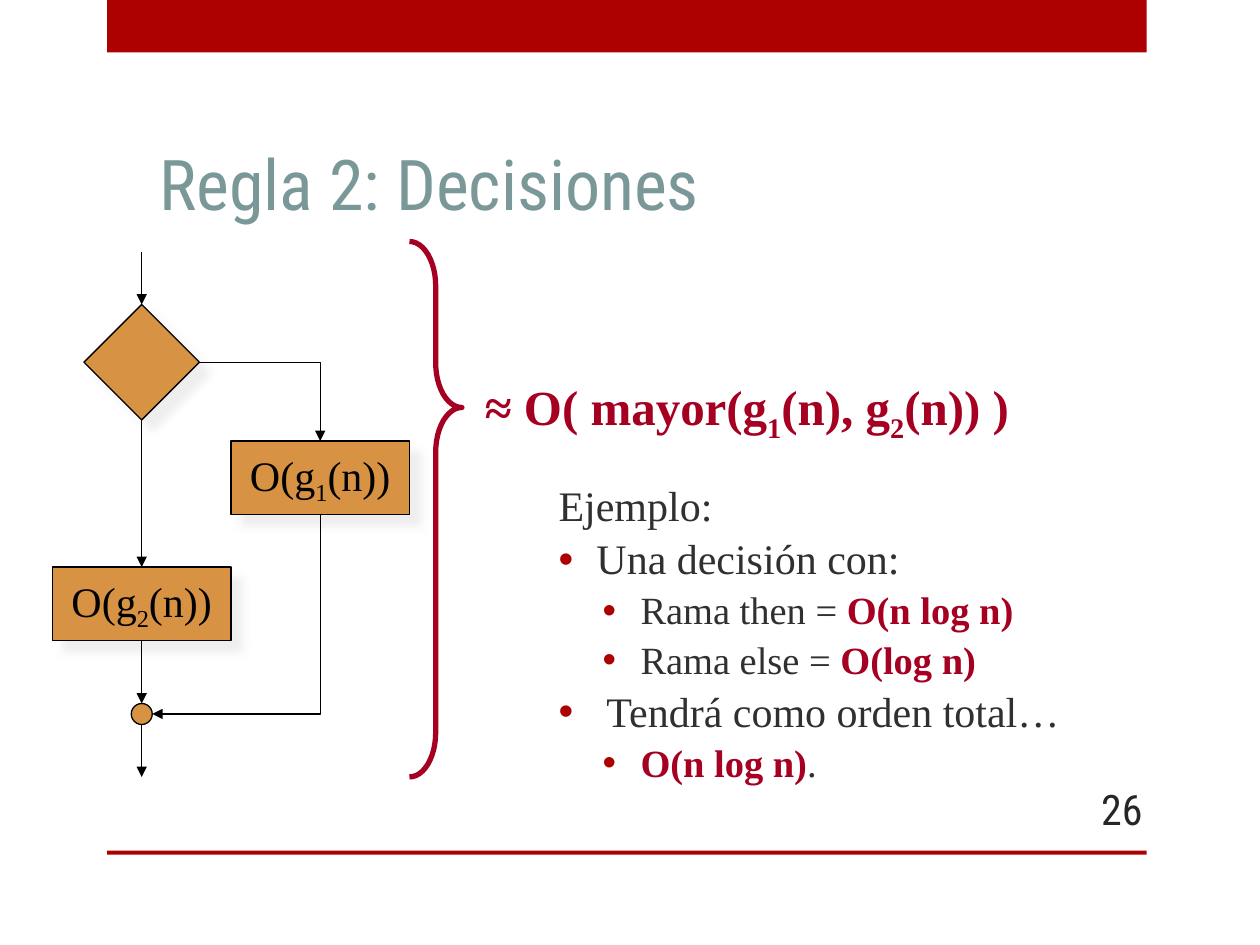
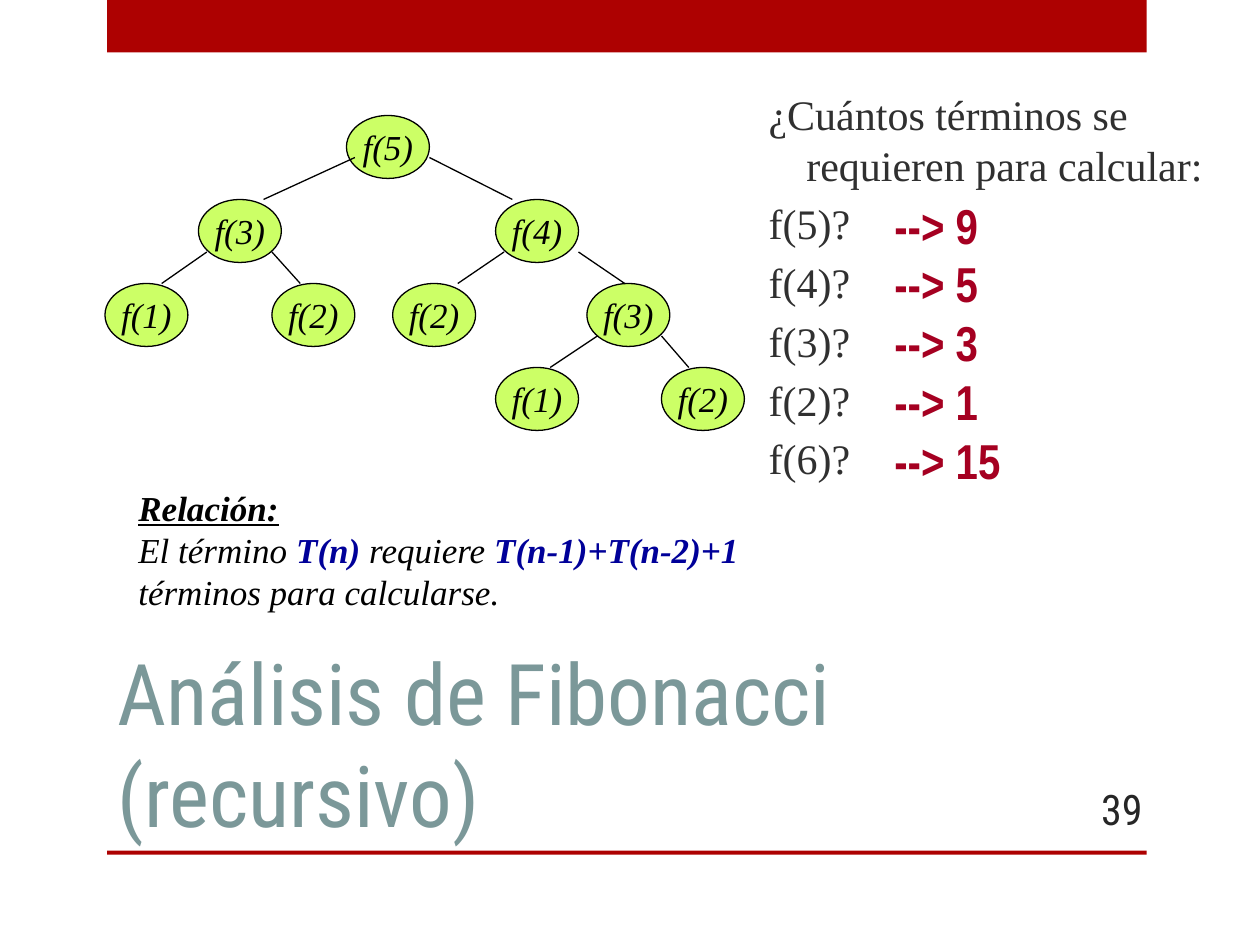
from lxml.etree import SubElement
from pptx import Presentation
from pptx.dml.color import RGBColor
from pptx.enum.shapes import MSO_CONNECTOR as Wire, MSO_SHAPE as Form
from pptx.enum.text import MSO_ANCHOR as Anchor, MSO_AUTO_SIZE as Fit, PP_ALIGN as Align
from pptx.oxml.ns import qn
from pptx.util import Inches, Pt

CELL = Inches(1) / 12  # the slide is a grid of 120 columns by 90 rows


class Theme:
    band, title, body, page = "AD0101", "7B9899", "303030", "262626"
    ink, accent, formula = "000000", "A50021", "000099"
    flow, tree, shade = "D89243", "CCFF66", "DEDEE0"
    head, serif, narrow = "Roboto Condensed", "Times New Roman", "Arial Narrow"
    big, text, sub, small = 28, 24, 22, 20


def draw(slide, kind, box, fill=None, line=None, width=0.75):
    """Add a preset shape, or a text box when kind is None; box is in cells."""
    box = [round(v * CELL) for v in box]
    if kind is None:
        return slide.shapes.add_textbox(*box)
    shape = slide.shapes.add_shape(kind, *box)
    shape.shadow.inherit = False
    if fill:
        shape.fill.solid()
        shape.fill.fore_color.rgb = RGBColor.from_string(fill)
    else:
        shape.fill.background()
    if line:
        shape.line.color.rgb = RGBColor.from_string(line)
        shape.line.width = Pt(width)
    else:
        shape.line.fill.background()
    return shape


def write(frame, text, face, size, color, mark=None, bold=False, italic=False,
          align=Align.LEFT, anchor=Anchor.TOP, wrap=True):
    """Fill a frame; pieces between bars are subscripts or bold in the mark colour."""
    frame.auto_size, frame.word_wrap, frame.vertical_anchor = Fit.NONE, wrap, anchor
    frame.text = text
    for para in frame.paragraphs:
        pieces = para.text.split("|")
        para.text = ""
        para.alignment = align
        for n, piece in enumerate(pieces):
            if not piece:
                continue
            run = para.add_run()
            run.text = piece
            font = run.font
            font.name, font.size, font.bold, font.italic = face, Pt(size), bold, italic
            font.color.rgb = RGBColor.from_string(color)
            if n % 2 and mark == "sub":
                run._r.get_or_add_rPr().set("baseline", "-25000")
            elif n % 2:
                font.bold = True
                font.color.rgb = RGBColor.from_string(mark)


deck = Presentation()
deck.slide_width, deck.slide_height = Inches(10), Inches(7.5)

# Bands, titles, lists and page numbers
rule_list = """Ejemplo:
Una decisión con:
Rama then = |O(n log n)|
Rama else = |O(log n)|
Tendrá como orden total…
|O(n log n)|."""
term_list = """¿Cuántos términos se requieren para calcular:
f(5)?
f(4)?
f(3)?
f(2)?
f(6)?"""
pages = [
    ("Regla 2: Decisiones", 40, (14, 7, 92.2, 15),
     rule_list, (52, 45, 58.9, 31), "26"),
    ("Análisis de Fibonacci (recursivo)", 48.6, (10, 60, 89, 21),
     term_list, (72, 3, 46, 54), "39"),
]
for title, size, title_box, items, body_box, number in pages:
    slide = deck.slides.add_slide(deck.slide_layouts[1])
    for top, height in ((0, 5), (81, 0.4)):
        draw(slide, Form.RECTANGLE, (10.2, top, 99, height), Theme.band)
    head, body = slide.placeholders
    for holder, box in ((head, title_box), (body, body_box)):
        holder.left, holder.top, holder.width, holder.height = [
            round(v * CELL) for v in box]
    write(head.text_frame, title, Theme.head, size, Theme.title, anchor=Anchor.BOTTOM)
    write(body.text_frame, items, Theme.serif, Theme.text, Theme.body,
          Theme.accent, anchor=Anchor.MIDDLE)
    page = draw(slide, None, (100, 74.6, 10, 4.8))
    write(page.text_frame, number, Theme.head, Theme.text, Theme.page,
          align=Align.RIGHT, anchor=Anchor.MIDDLE)

rule, fib = deck.slides
rule_body, fib_body = [s.placeholders[1].text_frame for s in (rule, fib)]
fib_body.margin_bottom = Inches(0.51)

# List levels: level, left edge, hanging indent, bullet
plain, item, nested = (0, 0.3, 0.3, False), (0, 0.3, 0.3, True), (1, 0.65, 0.3, True)
wide = (0, 0.38, 0.38, True)
levels = [(rule_body, [plain, item, nested, nested, wide, nested], 0.9),
          (fib_body, [plain] * 6, 1.0)]
for frame, kinds, spacing in levels:
    for para, (level, left, hang, dot) in zip(frame.paragraphs, kinds):
        para.level = level
        props = para._p.get_or_add_pPr()
        props.set("marL", str(Inches(left)))
        props.set("indent", str(-Inches(hang)))
        if dot:
            tint = SubElement(props, qn("a:buClr"))
            SubElement(tint, qn("a:srgbClr"), val=Theme.band)
            SubElement(props, qn("a:buChar"), char="•")
        else:
            SubElement(props, qn("a:buNone"))
        para.line_spacing = spacing
        if level:
            for run in para.runs:
                run.font.size = Pt(Theme.sub)
    frame.paragraphs[0].space_before = Pt(0)

# Decision flow
flow = [
    (Form.RECTANGLE, (22, 42, 17, 7), "O(g|1|(n))"),
    (Form.RECTANGLE, (5, 54, 17, 7), "O(g|2|(n))"),
    (Form.DIAMOND, (8, 29, 11, 11), ""),
    (Form.OVAL, (12.5, 67, 2, 2), ""),
]
for kind, box, label in flow:
    node = draw(rule, kind, box, Theme.flow, Theme.ink)
    if label:
        write(node.text_frame, label, Theme.serif, Theme.text, Theme.ink, "sub",
              align=Align.CENTER, anchor=Anchor.MIDDLE, wrap=False)
    if kind != Form.OVAL:
        effect = node._element.spPr.find(qn("a:effectLst"))
        shadow = SubElement(effect, qn("a:outerShdw"), blurRad=str(Pt(5)),
                            dist=str(Pt(8.5)), dir="2700000", algn="ctr", rotWithShape="0")
        tint = SubElement(shadow, qn("a:srgbClr"), val=Theme.shade)
        SubElement(tint, qn("a:alpha"), val="50000")

brace = draw(rule, Form.RIGHT_BRACE, (39, 23, 5, 51), line=Theme.accent, width=3)
brace.adjustments[0], brace.adjustments[1] = 0.85, 0.31
order = draw(rule, None, (45, 35.3, 52.9, 6.8))
write(order.text_frame, "≈ O( mayor(g|1|(n), g|2|(n)) )", Theme.serif, Theme.big,
      Theme.accent, "sub", bold=True, wrap=False)

# Call tree
calls = [(5, 33, 0), (3, 18.9, 1), (1, 10, 2), (2, 25.9, 2), (4, 47.2, 1),
         (2, 37.4, 2), (3, 55.9, 2), (1, 47.2, 3), (2, 63, 3)]
for n, left, depth in calls:
    node = draw(fib, Form.OVAL, (left, 11 + 8 * depth, 7.9, 6), Theme.tree, Theme.ink)
    write(node.text_frame, f"f({n})", Theme.serif, Theme.small, Theme.ink, italic=True,
          align=Align.CENTER, anchor=Anchor.MIDDLE, wrap=False)

counts = draw(fib, None, (84, 18, 12.6, 29.5))
write(counts.text_frame, "\n".join(f"--> {n}" for n in (9, 5, 3, 1, 15)),
      Theme.narrow, Theme.big, Theme.accent, bold=True, wrap=False)
note = draw(fib, None, (12, 45.7, 60, 13.3))
write(note.text_frame, "Relación:\nEl término |T(n) |requiere |T(n-1)+T(n-2)+1|"
      " términos para calcularse.", Theme.serif, Theme.small, Theme.ink,
      Theme.formula, italic=True)
lead = note.text_frame.paragraphs[0].runs[0].font
lead.bold = lead.underline = True

# Links: slide, start, end, bend ("over" goes across first, "down" goes down first)
links = [(rule, 13.5, y1, 13.5, y2, "")
         for y1, y2 in ((24, 29), (40, 54), (61, 67), (69, 74))]
links += [(rule, 19, 34.5, 30.5, 42, "over"), (rule, 30.5, 49, 14.5, 68, "down")]
edges = [(33.8, 25.1, 0), (40.9, 48.8, 0), (19.7, 15.4, 1), (25.9, 28.6, 1),
         (48, 43.6, 1), (55.1, 59.5, 1), (56.9, 52.4, 2), (63, 65.6, 2)]
links += [(fib, x1, 8 * depth + (16 if depth else 15), x2, 8 * depth + 19, "")
          for x1, x2, depth in edges]
for slide, x1, y1, x2, y2, bend in links:
    if bend == "down":  # a quarter turn about the middle swaps width and height
        mx, my, dx, dy = (x1 + x2) / 2, (y1 + y2) / 2, (y2 - y1) / 2, (x1 - x2) / 2
        x1, y1, x2, y2 = mx - dx, my - dy, mx + dx, my + dy
    ends = [round(v * CELL) for v in (x1, y1, x2, y2)]
    link = slide.shapes.add_connector(Wire.ELBOW if bend else Wire.STRAIGHT, *ends)
    link.line.color.rgb = RGBColor.from_string(Theme.ink)
    link.line.width = Pt(0.75)
    props = link._element.spPr
    if bend:
        props.find(qn("a:prstGeom")).set("prst", "bentConnector2")
    if bend == "down":
        props.find(qn("a:xfrm")).set("rot", "5400000")
    if slide is rule:
        SubElement(props.find(qn("a:ln")), qn("a:tailEnd"), type="triangle")
    SubElement(props, qn("a:effectLst"))

deck.save("out.pptx")
